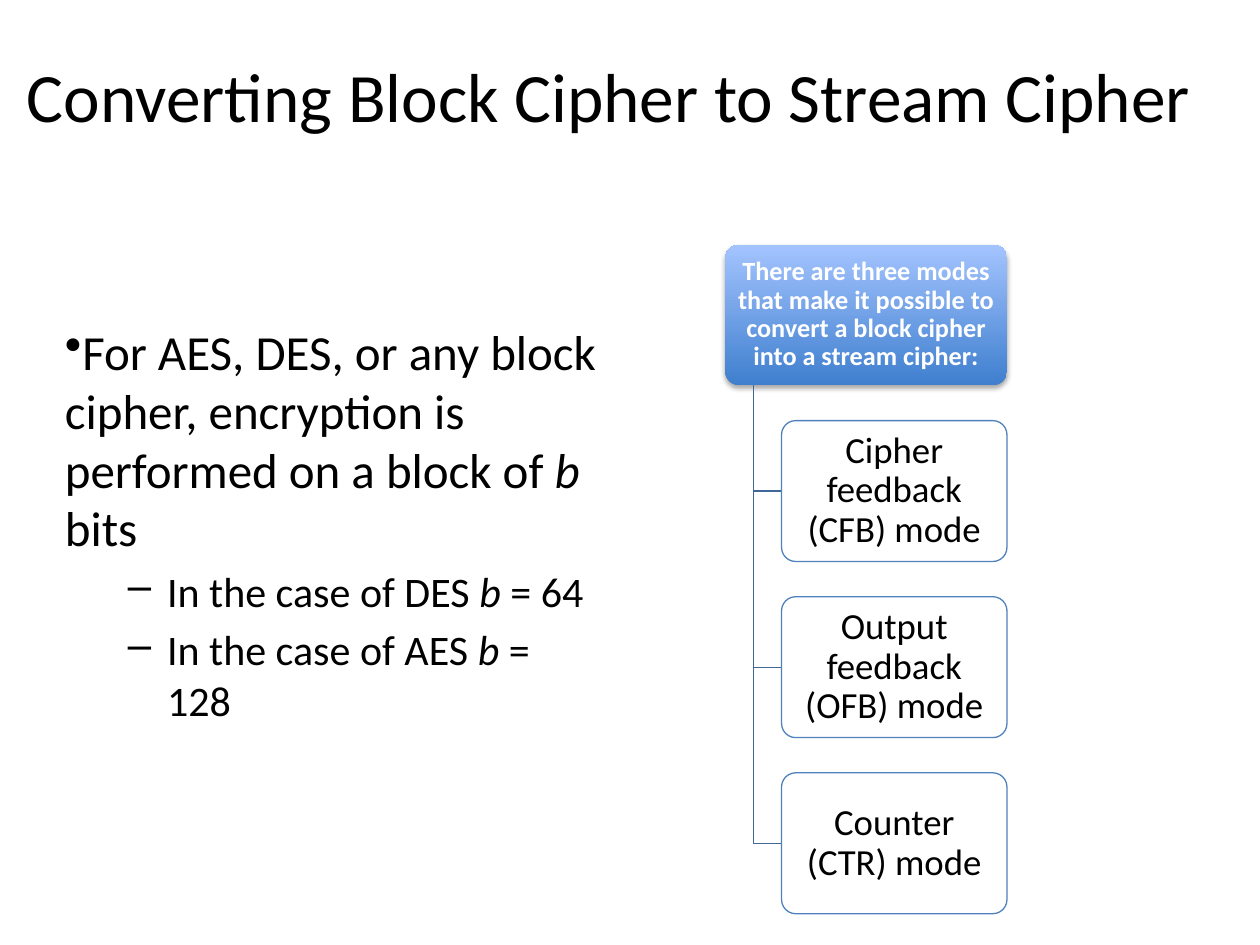
from lxml import etree
from pptx import Presentation
from pptx.dml.color import RGBColor
from pptx.enum.shapes import MSO_SHAPE
from pptx.enum.text import MSO_ANCHOR, PP_ALIGN
from pptx.oxml.ns import qn
from pptx.util import Cm, Pt

ROUNDED = MSO_SHAPE.ROUNDED_RECTANGLE
TOP, MIDDLE = MSO_ANCHOR.TOP, MSO_ANCHOR.MIDDLE
LEFT, CENTER = PP_ALIGN.LEFT, PP_ALIGN.CENTER

# Content: each bullet is (level, [(text, italic), ...])
TITLE = "Converting Block Cipher to Stream Cipher"
BULLETS = [
    (0, [("For AES, DES, or any block cipher, encryption is performed on a block of ", False),
         ("b ", True), ("bits", False)]),
    (1, [("In the case of DES ", False), ("b ", True), ("= 64", False)]),
    (1, [("In the case of AES ", False), ("b ", True), ("= 128", False)]),
]
MODES_HEADING = ("There are three modes that make it possible to convert "
                 "a block cipher into a stream cipher:")
MODES = ["Cipher feedback (CFB) mode", "Output feedback (OFB) mode", "Counter (CTR) mode"]

THEME = {
    "font": "Calibri",
    "text": "000000", "light": "FFFFFF",
    "gradient": ("3F7FCE", "A4C4FF"),
    "outline": "4F81BD", "branch": "3F6797",
    "title": 39.6, "bullets": (28, 24), "heading": 15, "mode": 21,
    "line": 0.75,
}
# Bullet sign, left margin and first-line indent in cm, by level
BULLET_STYLES = [("•", 0, 0), ("–", 2.06, -0.79)]

# Mode tree geometry in cm; everything follows from the box height
TREE_LEFT, TREE_TOP, BOX_HEIGHT = 14.62, 4.93, 2.84
TREE_WIDTH = 2 * BOX_HEIGHT
ROW_STEP = 1.25 * BOX_HEIGHT
TRUNK_X = TREE_LEFT + 0.1 * TREE_WIDTH
MODE_LEFT = TREE_LEFT + 0.2 * TREE_WIDTH
MODE_WIDTH = 0.8 * TREE_WIDTH


def color(name):
    return RGBColor.from_string(name)


def add_text(para, text, *, size, tint=THEME["text"], bold=False, italic=False):
    span = para.add_run()
    span.text = text
    font = span.font
    font.name, font.size = THEME["font"], Pt(size)
    font.bold, font.italic = bold, italic
    font.color.rgb = color(tint)


def set_frame(box, *, anchor, margins=(0.25, 0.13)):
    frame = box.text_frame
    frame.word_wrap = True
    frame.vertical_anchor = anchor
    frame.margin_left = frame.margin_right = Cm(margins[0])
    frame.margin_top = frame.margin_bottom = Cm(margins[1])
    return frame


def set_bullet(para, level):
    sign, margin, indent = BULLET_STYLES[level]
    properties = para._p.get_or_add_pPr()
    properties.set("marL", str(Cm(margin)))
    properties.set("indent", str(Cm(indent)))
    etree.SubElement(properties, qn("a:buChar")).set("char", sign)


def add_box(page, left, top, width, text, *, margins, **text_format):
    box = page.shapes.add_shape(ROUNDED, Cm(left), Cm(top), Cm(width), Cm(BOX_HEIGHT))
    box.adjustments[0] = 0.1
    box.shadow.inherit = False
    para = set_frame(box, anchor=MIDDLE, margins=margins).paragraphs[0]
    para.alignment, para.line_spacing = CENTER, 0.9
    add_text(para, text, **text_format)
    return box


def add_soft_shadow(box):
    effects = box._element.spPr.find(qn("a:effectLst"))
    shadow = etree.SubElement(effects, qn("a:outerShdw"), blurRad=str(Pt(3.1)),
                              dist=str(Pt(1.8)), dir="5400000", rotWithShape="0")
    tint = etree.SubElement(shadow, qn("a:srgbClr"), val="000000")
    etree.SubElement(tint, qn("a:alpha"), val="35000")


def add_heading_box(page):
    box = add_box(page, TREE_LEFT, TREE_TOP, TREE_WIDTH, MODES_HEADING, margins=(0.08, 0.05),
                  size=THEME["heading"], tint=THEME["light"], bold=True)
    box.line.fill.background()
    box.fill.gradient()
    box.fill.gradient_angle = 90
    for stop, tint in zip(box.fill.gradient_stops, THEME["gradient"]):
        stop.color.rgb = color(tint)
    add_soft_shadow(box)


def add_branch(page, end_y):
    start_y = TREE_TOP + BOX_HEIGHT
    builder = page.shapes.build_freeform(Cm(TRUNK_X), Cm(start_y))
    builder.add_line_segments([(Cm(TRUNK_X), Cm(end_y)), (Cm(MODE_LEFT), Cm(end_y))], close=False)
    branch = builder.convert_to_shape()
    branch.fill.background()
    branch.line.color.rgb = color(THEME["branch"])
    branch.line.width = Pt(THEME["line"])
    branch.shadow.inherit = False


def add_mode(page, row, text):
    top = TREE_TOP + row * ROW_STEP
    add_branch(page, top + BOX_HEIGHT / 2)
    box = add_box(page, MODE_LEFT, top, MODE_WIDTH, text, margins=(0.1, 0.07), size=THEME["mode"])
    box.fill.solid()
    box.fill.fore_color.rgb = color(THEME["light"])
    tint = box._element.spPr.find(qn("a:solidFill")).find(qn("a:srgbClr"))
    etree.SubElement(tint, qn("a:alpha"), val="90000")
    box.line.color.rgb = color(THEME["outline"])
    box.line.width = Pt(THEME["line"])


def main():
    deck = Presentation()
    deck.slide_width, deck.slide_height = Cm(25.4), Cm(19.05)
    page = deck.slides.add_slide(deck.slide_layouts[6])

    # Title
    title = page.shapes.add_textbox(Cm(0), Cm(0.85), Cm(24.55), Cm(2.12))
    para = set_frame(title, anchor=MIDDLE).paragraphs[0]
    para.alignment = CENTER
    add_text(para, TITLE, size=THEME["title"])

    # Bullets
    body = page.shapes.add_textbox(Cm(1.06), Cm(6.35), Cm(11.22), Cm(11.96))
    frame = set_frame(body, anchor=TOP)
    for index, (level, spans) in enumerate(BULLETS):
        para = frame.add_paragraph() if index else frame.paragraphs[0]
        size = THEME["bullets"][level]
        para.level, para.alignment = level, LEFT
        if index:
            para.space_before = Pt(0.2 * size)
        set_bullet(para, level)
        for text, italic in spans:
            add_text(para, text, size=size, italic=italic)

    # Mode tree
    add_heading_box(page)
    for row, mode in enumerate(MODES, start=1):
        add_mode(page, row, mode)

    deck.save("out.pptx")


if __name__ == "__main__":
    main()
